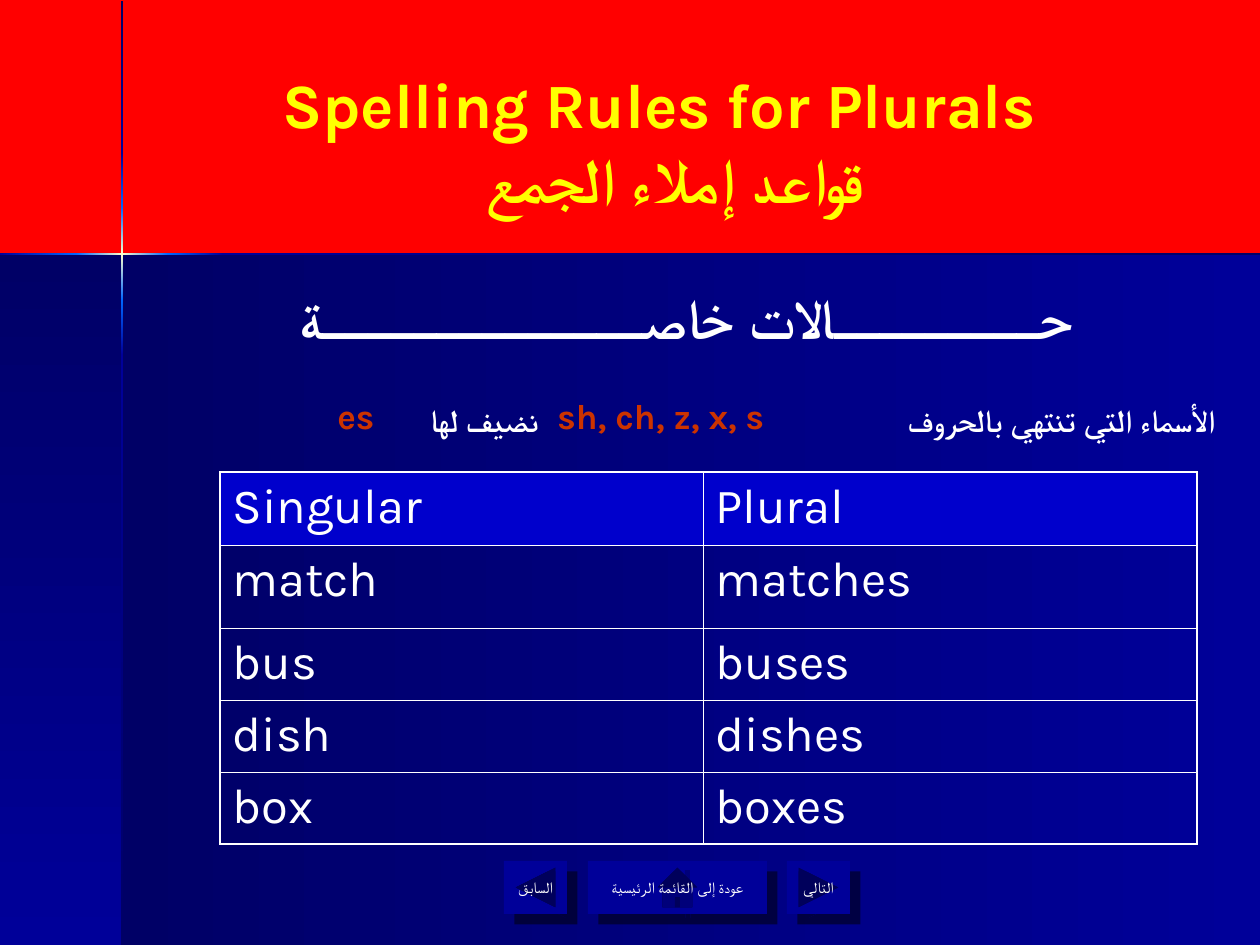
from lxml import etree
from pptx import Presentation
from pptx.dml.color import RGBColor
from pptx.enum.shapes import MSO_SHAPE
from pptx.enum.text import MSO_ANCHOR, MSO_AUTO_SIZE, PP_ALIGN
from pptx.oxml.ns import qn
from pptx.util import Emu, Pt

RECTANGLE = MSO_SHAPE.RECTANGLE
NEXT_BUTTON = MSO_SHAPE.ACTION_BUTTON_FORWARD_OR_NEXT
BACK_BUTTON = MSO_SHAPE.ACTION_BUTTON_BACK_OR_PREVIOUS
HOME_BUTTON = MSO_SHAPE.ACTION_BUTTON_HOME
MIDDLE, TOP = MSO_ANCHOR.MIDDLE, MSO_ANCHOR.TOP
NO_AUTOFIT = MSO_AUTO_SIZE.NONE
LEFT, CENTER, RIGHT = PP_ALIGN.LEFT, PP_ALIGN.CENTER, PP_ALIGN.RIGHT

FONT = "Karla"
RED, YELLOW, WHITE, RUST = "FF0000", "FFFF00", "FFFFFF", "CC3300"
NAVY, BLUE, HEADER_BLUE = "000066", "000099", "0000CC"
GLOW, CREAM = "0066FF", "FFFFCC"
DOWN, LEFTWARD = 90, 180
OUTER_BORDER, INNER_BORDER = 1.08, 0.45


def px(value):
    return Emu(round(value * 914400 / 126))


def color(value):
    return RGBColor.from_string(value)


def add_color(parent, value):
    return etree.SubElement(parent, qn("a:srgbClr"), val=value)


class SlideBuilder:
    """Holds the text style and the current slide, and adds each kind of element."""

    def __init__(self, slide, font):
        self.slide = slide
        self.font = font

    def fill_frame(self, frame, text, size, fill, align=LEFT, bold=False, anchor=TOP, wrap=True):
        for name, value in {"word_wrap": wrap, "auto_size": NO_AUTOFIT, "vertical_anchor": anchor}.items():
            setattr(frame, name, value)
        self.fill_paragraph(frame.paragraphs[0], text, size, fill, align, bold)

    def fill_paragraph(self, paragraph, text, size, fill, align=LEFT, bold=False):
        paragraph.text = text
        paragraph.alignment = align
        for run in paragraph.runs:
            for name, value in {"name": self.font, "size": Pt(size), "bold": bold}.items():
                setattr(run.font, name, value)
            run.font.color.rgb = color(fill)
            etree.SubElement(run._r.get_or_add_rPr(), qn("a:cs"), typeface=self.font)

    def title(self, box, text):
        shape = self.slide.shapes.title
        for name, value in zip(("left", "top", "width", "height"), box):
            setattr(shape, name, px(value))
        self.fill_frame(shape.text_frame, text, 36, YELLOW, CENTER, True, MIDDLE)

    def text(self, box, text, size, fill, align):
        shape = self.slide.shapes.add_textbox(*map(px, box))
        self.fill_frame(shape.text_frame, text, size, fill, align, True)

    def gradient(self, box, colors, angle):
        shape = self.slide.shapes.add_shape(RECTANGLE, *map(px, box))
        shape.shadow.inherit = False
        shape.line.fill.background()
        shape.fill.gradient()
        gradient = shape._element.spPr.find(qn("a:gradFill"))
        stops = gradient.find(qn("a:gsLst"))
        stops.clear()
        for index, value in enumerate(colors):
            position = 100000 * index // (len(colors) - 1)
            add_color(etree.SubElement(stops, qn("a:gs"), pos=str(position)), value)
        gradient.find(qn("a:lin")).set("ang", str(angle * 60000))

    def button(self, kind, box, text):
        shape = self.slide.shapes.add_shape(kind, *map(px, box))
        shape.shadow.inherit = False
        shape.fill.solid()
        shape.fill.fore_color.rgb = color(BLUE)
        shape.line.fill.background()
        effects = shape._element.spPr.find(qn("a:effectLst"))
        shadow = etree.SubElement(effects, qn("a:outerShdw"), dist=str(Pt(8.5)), dir="2700000", algn="ctr")
        etree.SubElement(add_color(shadow, "000000"), qn("a:alpha"), val="50000")
        self.fill_frame(shape.text_frame, text, 9, WHITE, CENTER, False, MIDDLE, False)

    def border(self, cell, side, width):
        properties = cell._tc.get_or_add_tcPr()
        line = etree.SubElement(properties, qn(f"a:ln{side}"), w=str(Pt(width)))
        add_color(etree.SubElement(line, qn("a:solidFill")), WHITE)

    def table(self, left, top, widths, heights, rows):
        box = left, top, sum(widths), sum(heights)
        table = self.slide.shapes.add_table(len(rows), len(widths), *map(px, box)).table
        table.first_row = table.horz_banding = False
        for column, width in zip(table.columns, widths):
            column.width = px(width)
        for row, height in zip(table.rows, heights):
            row.height = px(height)
        for row_index, values in enumerate(rows):
            for column_index, value in enumerate(values):
                cell = table.cell(row_index, column_index)
                outer_sides = {
                    "L": column_index == 0,
                    "R": column_index == len(widths) - 1,
                    "T": row_index == 0,
                    "B": row_index == len(rows) - 1,
                }
                for side, outer in outer_sides.items():
                    self.border(cell, side, OUTER_BORDER if outer else INNER_BORDER)
                if row_index == 0:
                    cell.fill.solid()
                    cell.fill.fore_color.rgb = color(HEADER_BLUE)
                else:
                    cell.fill.background()
                self.fill_paragraph(cell.text_frame.paragraphs[0], value, 28, WHITE)


def main():
    presentation = Presentation()
    presentation.slide_width, presentation.slide_height = px(1260), px(945)
    slide = presentation.slides.add_slide(presentation.slide_layouts[5])
    slide.background.fill.solid()
    slide.background.fill.fore_color.rgb = color(RED)
    builder = SlideBuilder(slide, FONT)

    builder.gradient((122, 254, 1138, 691), (BLUE, NAVY), LEFTWARD)
    builder.gradient((0, 254, 122, 691), (NAVY, BLUE), DOWN)
    for top, height, colors in (
        (1, 152, (NAVY, BLUE)),
        (355, 590, (BLUE, NAVY)),
        (300, 55, (GLOW, BLUE)),
        (153, 55, (BLUE, GLOW)),
        (208, 92, (GLOW, CREAM, GLOW)),
    ):
        builder.gradient((121, top, 2, height), colors, DOWN)
    for left, width, colors in (
        (223, 1037, (NAVY, BLUE)),
        (0, 76, (GLOW, BLUE)),
        (168, 55, (BLUE, GLOW)),
        (76, 92, (GLOW, CREAM, GLOW)),
    ):
        builder.gradient((left, 253, width, 2), colors, LEFTWARD)

    builder.title((147, 42, 1040, 198), "Spelling Rules for Plurals \v قواعد إملاء الجمع")
    builder.text((147, 277, 1081, 80), "حـــــــــالات خاصــــــــــــــة", 32, WHITE, CENTER)
    for left, top, width, text, size, fill, align in (
        (750, 395, 478, "الأسماء التي تنتهي بالحروف", 18, WHITE, RIGHT),
        (545, 388, 286, "sh, ch, z, x, s", 20, RUST, LEFT),
        (360, 395, 191, "نضيف لها", 18, WHITE, RIGHT),
        (325, 388, 73, "es", 20, RUST, LEFT),
    ):
        builder.text((left, top, width, 55), text, size, fill, align)

    builder.table(220, 472, (483, 494), (73, 83, 72, 72, 72), (
        ("Singular", "Plural"),
        ("match", "matches"),
        ("bus", "buses"),
        ("dish", "dishes"),
        ("box", "boxes"),
    ))
    for kind, left, width, text in (
        (NEXT_BUTTON, 787, 63, "التالي"),
        (BACK_BUTTON, 504, 63, "السابق"),
        (HOME_BUTTON, 588, 179, "عودة إلى القائمة الرئيسية"),
    ):
        builder.button(kind, (left, 861, width, 53), text)

    presentation.save("out.pptx")


if __name__ == "__main__":
    main()
